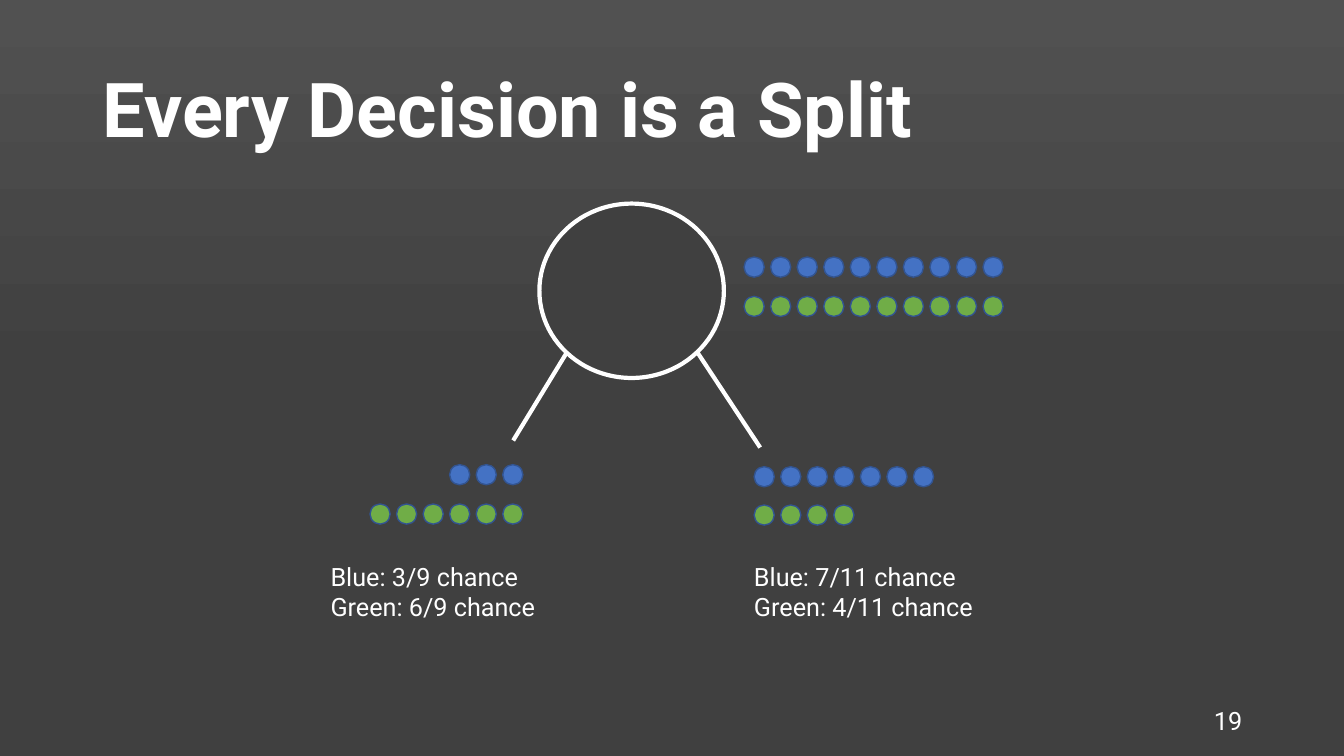
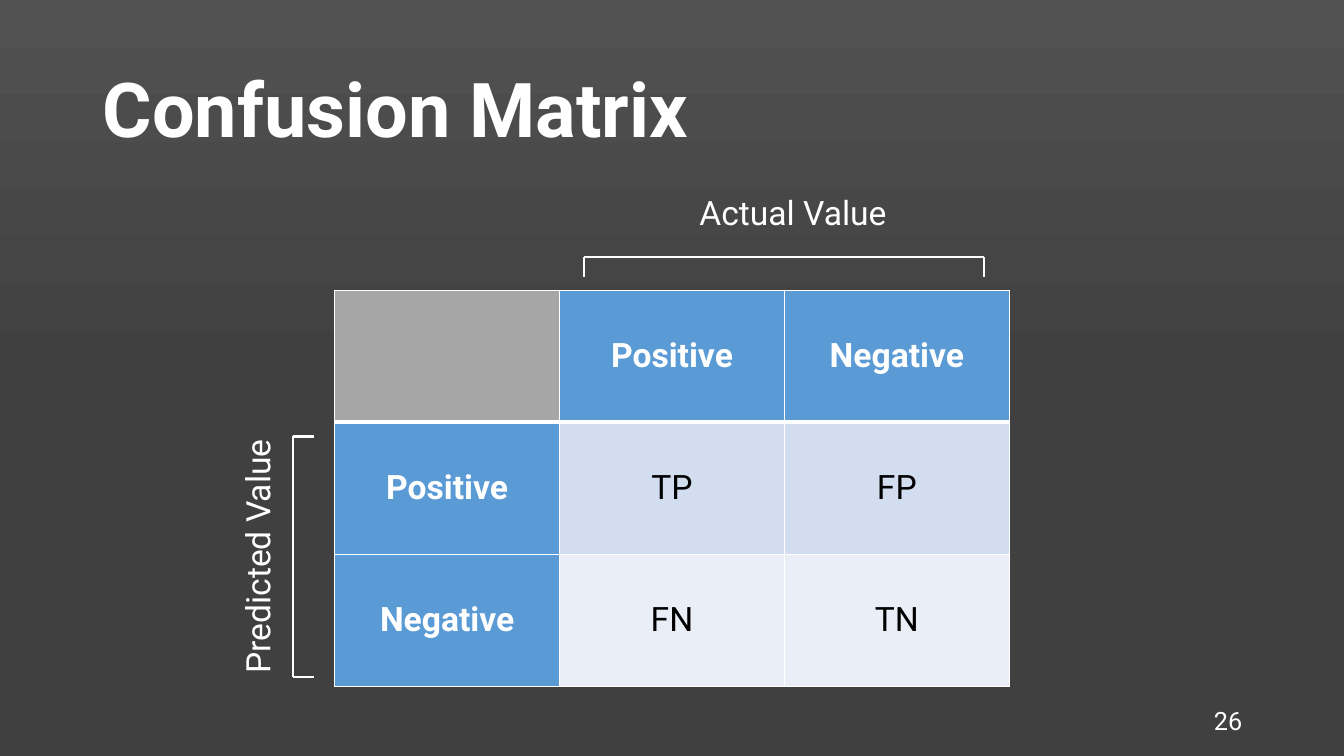
from copy import deepcopy
from itertools import pairwise

from lxml.etree import SubElement
from pptx import Presentation
from pptx.dml.color import RGBColor
from pptx.enum.shapes import MSO_CONNECTOR, MSO_SHAPE
from pptx.enum.text import MSO_ANCHOR, PP_ALIGN
from pptx.oxml import parse_xml
from pptx.oxml.ns import nsdecls, qn
from pptx.util import Inches, Pt

WHITE, BLACK, CHARCOAL, SLATE = "FFFFFF", "000000", "404040", "515151"
BLUE, GREEN, DOT_EDGE = "4472C4", "70AD47", "325491"
HEADER, CORNER, BAND_DARK, BAND_LIGHT = "5B9BD5", "A6A6A6", "D2DEEF", "EAEFF7"
DOT_SIZE = 0.2
DOT_STEP = 2.37 / 9


def color(hex_value):
    return RGBColor.from_string(hex_value)


class Deck:
    font_name = "Roboto"

    def __init__(self):
        self.presentation = Presentation()
        self.presentation.slide_width = Inches(13.33)
        self.presentation.slide_height = Inches(7.5)
        self.slide = None
        self.paint_background()

    def paint_background(self):
        """Gradient on the master: slate to charcoal, then flat."""
        master = self.presentation.slide_master
        fill = master.background.fill
        fill.gradient()
        fill.gradient_angle = 270
        top, middle = fill.gradient_stops
        top.position, top.color.rgb = 0, color(SLATE)
        middle.position, middle.color.rgb = 0.5, color(CHARCOAL)
        stops = master.element.find(".//" + qn("a:gsLst"))
        bottom = deepcopy(stops[-1])
        bottom.set("pos", "100000")
        stops.append(bottom)

    def add_slide(self, title, number):
        self.slide = self.presentation.slides.add_slide(
            self.presentation.slide_layouts[6])
        self.text([title], 0.92, 0.4, 9.55, 1.45, size=54, bold=True,
                  anchor=MSO_ANCHOR.MIDDLE, spacing=0.9)
        self.text([str(number)], 9.42, 6.95, 3, 0.4, align=PP_ALIGN.RIGHT,
                  anchor=MSO_ANCHOR.MIDDLE)

    def style(self, paragraph, size, fore=WHITE, bold=False, align=None):
        paragraph.alignment = align
        font = paragraph.font
        font.name, font.size, font.bold = self.font_name, Pt(size), bold
        font.color.rgb = color(fore)

    def text(self, lines, left, top, width, height, size=18, bold=False,
             align=PP_ALIGN.LEFT, anchor=MSO_ANCHOR.TOP, spacing=None,
             rotation=0):
        box = self.slide.shapes.add_textbox(
            Inches(left), Inches(top), Inches(width), Inches(height))
        box.rotation = rotation
        frame = box.text_frame
        frame.word_wrap = True
        frame.vertical_anchor = anchor
        frame.text = "\n".join(lines)
        for paragraph in frame.paragraphs:
            paragraph.line_spacing = spacing
            self.style(paragraph, size, bold=bold, align=align)

    def ellipse(self, left, top, width, height, fill, edge, weight):
        oval = self.slide.shapes.add_shape(
            MSO_SHAPE.OVAL, Inches(left), Inches(top),
            Inches(width), Inches(height))
        oval.shadow.inherit = False
        oval.fill.solid()
        oval.fill.fore_color.rgb = color(fill)
        oval.line.color.rgb = color(edge)
        oval.line.width = Pt(weight)

    def dots(self, left, top, count, fill):
        for index in range(count):
            self.ellipse(left + index * DOT_STEP, top, DOT_SIZE, DOT_SIZE,
                         fill, DOT_EDGE, 1)

    def lines(self, points, weight):
        """Straight lines from each point to the next."""
        for start, end in pairwise(points):
            segment = self.slide.shapes.add_connector(
                MSO_CONNECTOR.STRAIGHT, *map(Inches, start + end))
            segment.line.color.rgb = color(WHITE)
            segment.line.width = Pt(weight)
            SubElement(segment.element.spPr, qn("a:effectLst"))

    def borders(self, cell, **weights):
        properties = cell._tc.get_or_add_tcPr()
        for index, (side, weight) in enumerate(weights.items()):
            properties.insert(index, parse_xml(
                f'<a:ln{side} {nsdecls("a")} w="{Pt(weight)}"><a:solidFill>'
                f'<a:srgbClr val="{WHITE}"/></a:solidFill></a:ln{side}>'))

    def matrix(self, rows, left, top, cell_width, cell_height):
        """Table with a header row, a header column and banded values."""
        count = len(rows)
        table = self.slide.shapes.add_table(
            count, count, Inches(left), Inches(top),
            Inches(cell_width * count), Inches(cell_height * count)).table
        table.first_row = table.horz_banding = False
        for r, row in enumerate(rows):
            table.rows[r].height = Inches(cell_height)
            table.columns[r].width = Inches(cell_width)
            for c, label in enumerate(row):
                is_header = r == 0 or c == 0
                if is_header:
                    fill = HEADER if label else CORNER
                else:
                    fill = BAND_DARK if r % 2 else BAND_LIGHT
                cell = table.cell(r, c)
                cell.text = label
                cell.vertical_anchor = MSO_ANCHOR.MIDDLE
                cell.fill.solid()
                cell.fill.fore_color.rgb = color(fill)
                self.style(cell.text_frame.paragraphs[0], 24,
                           WHITE if is_header else BLACK, is_header,
                           PP_ALIGN.CENTER)
                self.borders(cell, L=1, R=1, T=3 if r == 1 else 1,
                             B=3 if r == 0 else 1)


def decision_split(deck):
    deck.add_slide("Every Decision is a Split", 19)

    # Decision node and its branches
    deck.ellipse(5.35, 2.02, 1.83, 1.73, CHARCOAL, WHITE, 3)
    deck.lines([(5.62, 3.5), (5.09, 4.37)], 3)
    deck.lines([(6.92, 3.5), (7.54, 4.44)], 3)

    # Samples at the node, the right leaf and the left leaf
    for left, top, count, fill in (
            (7.38, 2.55, 10, BLUE), (7.38, 2.94, 10, GREEN),
            (7.48, 4.63, 7, BLUE), (7.48, 5.01, 4, GREEN),
            (4.46, 4.61, 3, BLUE), (3.67, 5, 6, GREEN)):
        deck.dots(left, top, count, fill)

    # Chances in each leaf
    for left, blue, green, total in ((7.38, 7, 4, 11), (3.18, 3, 6, 9)):
        deck.text([f"Blue: {blue}/{total} chance",
                   f"Green: {green}/{total} chance"], left, 5.52, 2.57, 0.71)


def confusion_matrix(deck):
    deck.add_slide("Confusion Matrix", 26)
    deck.matrix([("", "Positive", "Negative"),
                 ("Positive", "TP", "FP"),
                 ("Negative", "FN", "TN")], 3.32, 2.88, 2.23, 1.31)

    # Axis labels with brackets
    deck.text(["Actual Value"], 6.76, 1.85, 2.21, 0.5, size=24,
              align=PP_ALIGN.CENTER)
    deck.lines([(5.79, 2.75), (5.79, 2.55), (9.76, 2.55), (9.76, 2.75)], 1.5)
    deck.text(["Predicted Value"], 1.17, 5.27, 2.76, 0.5, size=24,
              align=PP_ALIGN.CENTER, rotation=270)
    deck.lines([(3.11, 4.33), (2.91, 4.33), (2.91, 6.72), (3.11, 6.72)], 1.5)


def main():
    deck = Deck()
    decision_split(deck)
    confusion_matrix(deck)
    deck.presentation.save("out.pptx")


if __name__ == "__main__":
    main()
